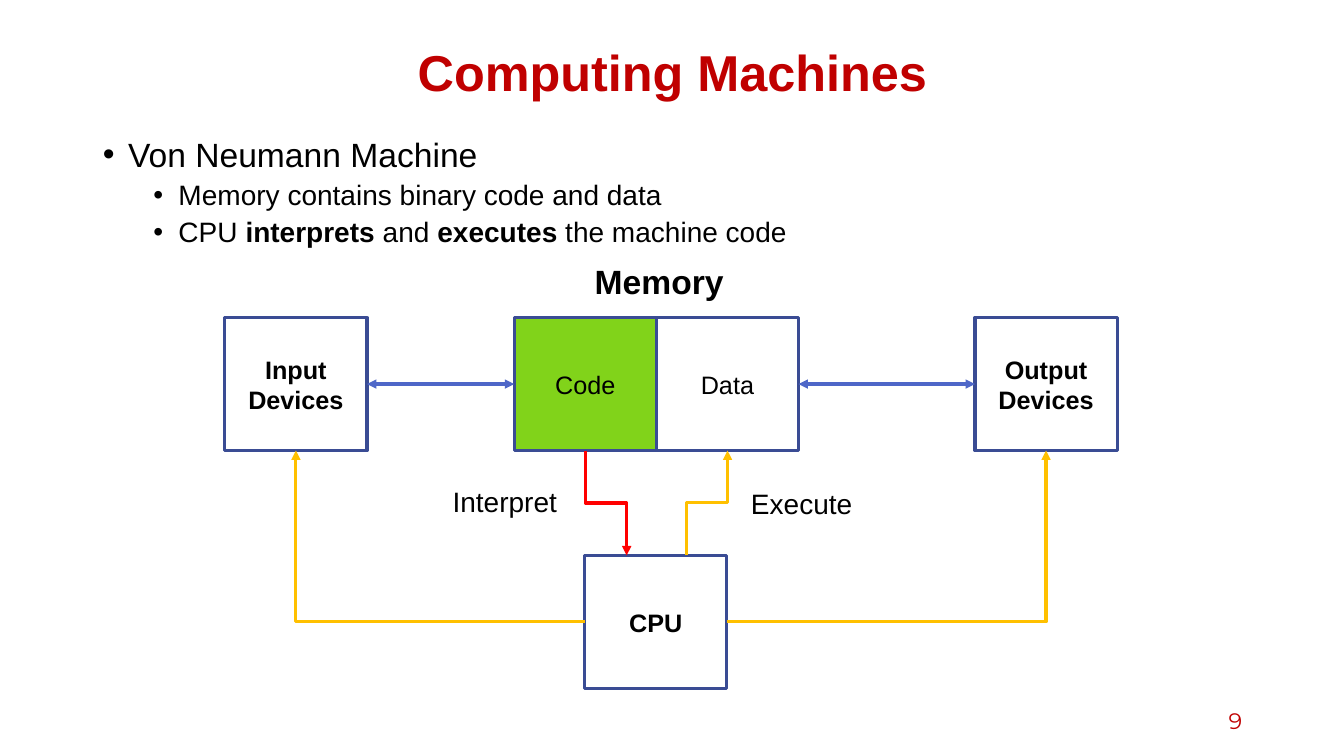
import dataclasses

import pptx
import pptx.dml.color
import pptx.enum.shapes
import pptx.enum.text
import pptx.oxml
import pptx.oxml.ns
import pptx.util

Inches, Pt = pptx.util.Inches, pptx.util.Pt
RGB = pptx.dml.color.RGBColor.from_string
qn = pptx.oxml.ns.qn
ALIGN = pptx.enum.text.PP_ALIGN
MIDDLE = pptx.enum.text.MSO_ANCHOR.MIDDLE
CONNECTOR = pptx.enum.shapes.MSO_CONNECTOR
RECTANGLE = pptx.enum.shapes.MSO_SHAPE.RECTANGLE


@dataclasses.dataclass(frozen=True)
class Theme:
    font: str = "Arial"
    number_font: str = "Montserrat"
    accent: str = "C00000"
    text: str = "000000"
    white: str = "FFFFFF"
    code: str = "81D31A"
    border: str = "3A4C94"
    transfer: str = "4E67C8"
    interpret: str = "FF0000"
    execute: str = "FFC000"
    title: int = 36
    heading: int = 24
    body: int = 20
    box: int = 18
    number: int = 16
    line: float = 2.25


T = Theme()


def style(p, size, bold=False, color=T.text, font=T.font, align=ALIGN.LEFT):
    p.alignment = align
    for r in p.runs:
        r.font.size, r.font.bold, r.font.name = Pt(size), bold, font
        r.font.color.rgb = RGB(color)


def add_arrow(kind, ends, color, both_ways=False):
    c = s.shapes.add_connector(kind, *[Inches(v) for v in ends])
    c.line.color.rgb, c.line.width = RGB(color), Pt(T.line)
    ln = c.line._get_or_add_ln()
    for tag in ("a:headEnd", "a:tailEnd") if both_ways else ("a:tailEnd",):
        ln.append(pptx.oxml.parse_xml(f'<{tag} {pptx.oxml.ns.nsdecls("a")} type="triangle"/>'))
    c._element.spPr.append(pptx.oxml.parse_xml(f'<a:effectLst {pptx.oxml.ns.nsdecls("a")}/>'))
    return c


prs = pptx.Presentation()
prs.slide_width, prs.slide_height = Inches(13.33), Inches(7.5)
s = prs.slides.add_slide(prs.slide_layouts[1])

# Title and bullet list
title, body = s.shapes.title, s.placeholders[1]
for sp, top, height in ((title, 0.4, 0.7), (body, 1.32, 5.51)):
    sp.left, sp.top, sp.width, sp.height = [Inches(v) for v in (0.92, top, 11.5, height)]
title.text_frame.text = "Computing Machines"
title.text_frame.vertical_anchor = MIDDLE
title.text_frame.paragraphs[0].line_spacing = 0.9
style(title.text_frame.paragraphs[0], T.title, True, T.accent, align=ALIGN.CENTER)

bullets = [
    (0, ["Von Neumann Machine"]),
    (1, ["Memory contains binary code and data"]),
    (1, ["CPU ", "interprets", " and ", "executes", " the machine code"]),
]
tf = body.text_frame
for i, (level, parts) in enumerate(bullets):
    p = tf.paragraphs[0] if i == 0 else tf.add_paragraph()
    for part in parts:
        p.add_run().text = part
    style(p, T.body if level else T.heading)
    for r in p.runs[1::2]:
        r.font.bold = True
    p.level, p.line_spacing, p.space_before = level, 0.9, Pt(5 if level else 10)
    pPr = p._p.get_or_add_pPr()
    pPr.set("marL", str(Inches(0.25 + 0.5 * level)))
    pPr.set("indent", str(Inches(-0.25)))
    for tag, key, value in (("buFont", "typeface", T.font), ("buChar", "char", "•")):
        pPr.append(pptx.oxml.parse_xml(f'<a:{tag} {pptx.oxml.ns.nsdecls("a")} {key}="{value}"/>'))

# Machine parts
BOX_W, BOX_H = 1.41, 1.32
ROW_TOP, CPU_TOP = 3.15, 5.51
INPUT_X, CODE_X, CPU_X, OUTPUT_X = 2.23, 5.1, 5.8, 9.67
DATA_X = CODE_X + BOX_W
memory = s.shapes.add_group_shape()
parts = {}
for shapes, name, x, y, fill, bold in (
    (memory.shapes, "Code", CODE_X, ROW_TOP, T.code, False),
    (memory.shapes, "Data", DATA_X, ROW_TOP, T.white, False),
    (s.shapes, "CPU", CPU_X, CPU_TOP, T.white, True),
    (s.shapes, "Input Devices", INPUT_X, ROW_TOP, T.white, True),
    (s.shapes, "Output Devices", OUTPUT_X, ROW_TOP, T.white, True),
):
    sp = shapes.add_shape(RECTANGLE, Inches(x), Inches(y), Inches(BOX_W), Inches(BOX_H))
    sp.shadow.inherit = False
    sp.fill.solid()
    sp.fill.fore_color.rgb = RGB(fill)
    sp.line.color.rgb, sp.line.width = RGB(T.border), Pt(T.line)
    sp.text_frame.text = name
    sp.text_frame.word_wrap, sp.text_frame.vertical_anchor = True, MIDDLE
    style(sp.text_frame.paragraphs[0], T.box, bold, align=ALIGN.CENTER)
    parts[name] = sp

# Two-way transfers between devices and memory
row_mid = ROW_TOP + BOX_H / 2
for left, right in (("Input Devices", "Code"), ("Data", "Output Devices")):
    c = add_arrow(CONNECTOR.STRAIGHT, (INPUT_X, row_mid, OUTPUT_X, row_mid), T.transfer, True)
    c.begin_connect(parts[left], 3)
    c.end_connect(parts[right], 1)

# Vertical elbows between memory and CPU: a horizontal elbow turned about its centre
row_bottom = ROW_TOP + BOX_H
mid_y, half_rise, half_step = (row_bottom + CPU_TOP) / 2, (CPU_TOP - row_bottom) / 2, 0.205
for mid_x, start_dy, rotation, color in (
    (CODE_X + BOX_W / 2 + half_step, -half_step, 270, T.interpret),
    (DATA_X + BOX_W / 2 - half_step, half_step, 90, T.execute),
):
    ends = (mid_x + half_rise, mid_y + start_dy, mid_x - half_rise, mid_y - start_dy)
    c = add_arrow(CONNECTOR.ELBOW, ends, color)
    c._element.spPr.find(qn("a:xfrm")).set("rot", str(rotation * 60000))

# Single-corner elbows from CPU to the devices
cpu_mid = CPU_TOP + BOX_H / 2
for x, device_x in ((CPU_X, INPUT_X), (CPU_X + BOX_W, OUTPUT_X)):
    c = add_arrow(CONNECTOR.ELBOW, (x, cpu_mid, device_x + BOX_W / 2, row_bottom), T.execute)
    c._element.spPr.find(qn("a:prstGeom")).set("prst", "bentConnector2")

# Labels and page number
for text, x, y, w, h, look in (
    ("Memory", 5.8, 2.54, 1.95, 0.5, dict(size=T.heading, bold=True)),
    ("Interpret", 4.39, 4.75, 1.95, 0.44, dict(size=T.body)),
    ("Execute", 7.35, 4.77, 1.95, 0.44, dict(size=T.body)),
    ("9", 9.42, 6.95, 3, 0.4,
     dict(size=T.number, color=T.accent, font=T.number_font, align=ALIGN.RIGHT)),
):
    tf = s.shapes.add_textbox(Inches(x), Inches(y), Inches(w), Inches(h)).text_frame
    tf.text, tf.word_wrap, tf.vertical_anchor = text, True, MIDDLE
    style(tf.paragraphs[0], **look)

prs.save("out.pptx")
